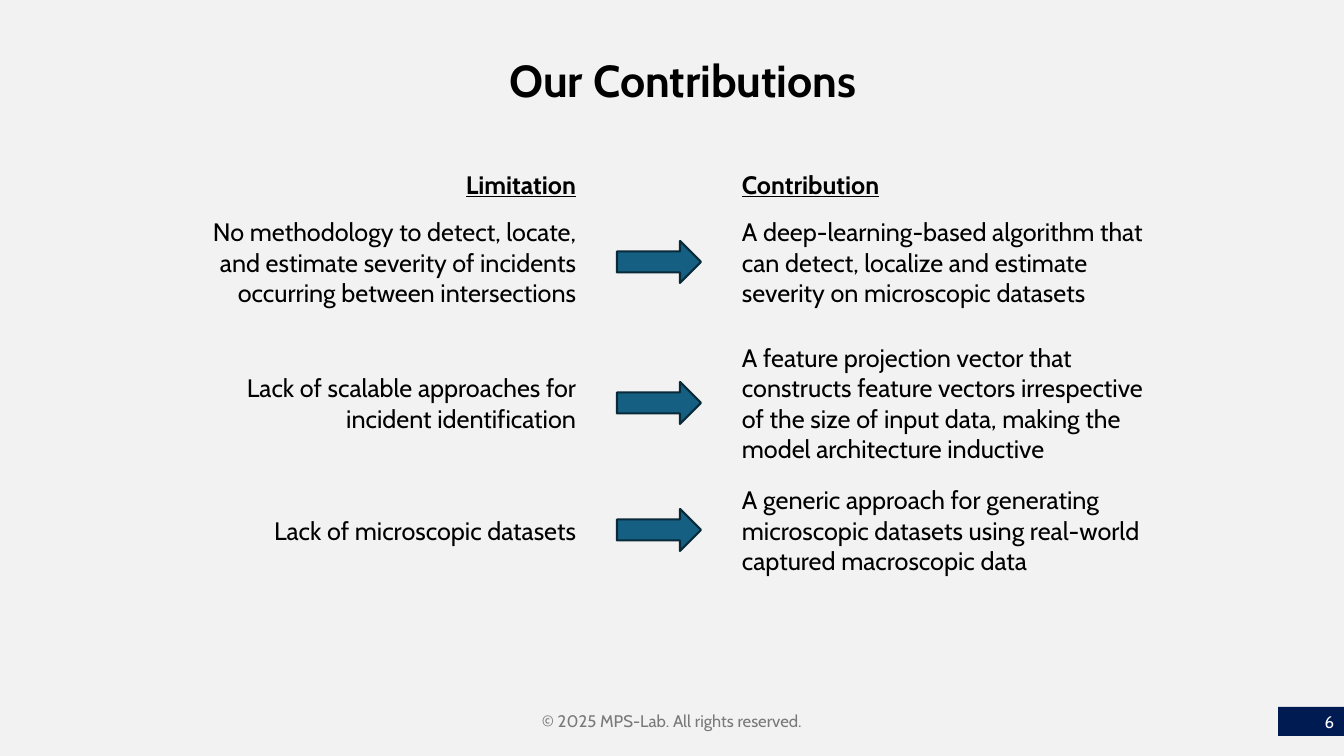
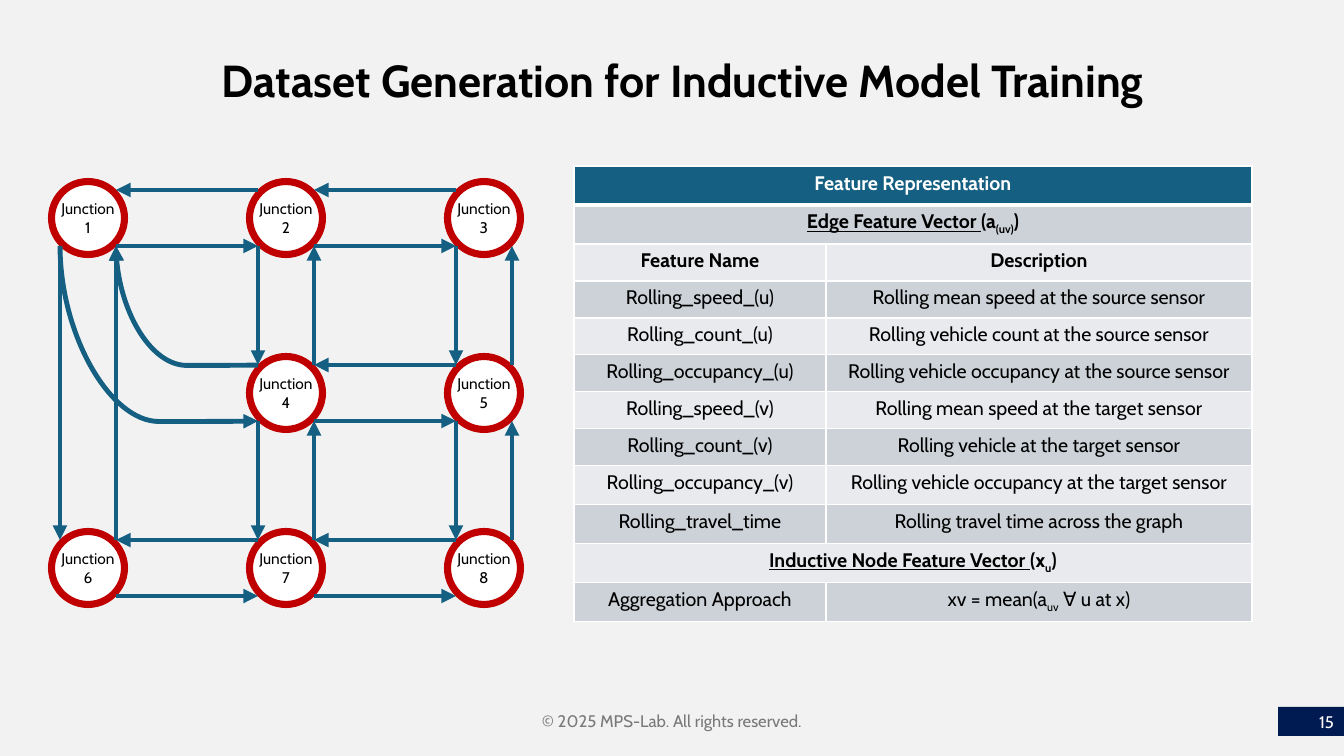
from lxml import etree
from pptx import Presentation
from pptx.dml.color import RGBColor
from pptx.enum.shapes import MSO_CONNECTOR, MSO_SHAPE
from pptx.enum.text import MSO_ANCHOR, MSO_AUTO_SIZE, PP_ALIGN
from pptx.oxml.ns import qn
from pptx.util import Emu, Pt

LEFT, CENTER, RIGHT = PP_ALIGN.LEFT, PP_ALIGN.CENTER, PP_ALIGN.RIGHT
TOP, MIDDLE = MSO_ANCHOR.TOP, MSO_ANCHOR.MIDDLE
STRAIGHT, CURVE = MSO_CONNECTOR.STRAIGHT, MSO_CONNECTOR.CURVE
RECTANGLE, ELLIPSE, ARROW = MSO_SHAPE.RECTANGLE, MSO_SHAPE.OVAL, MSO_SHAPE.RIGHT_ARROW

BLACK = RGBColor(0x00, 0x00, 0x00)
WHITE = RGBColor(0xFF, 0xFF, 0xFF)
PAPER = RGBColor(0xF2, 0xF2, 0xF2)
GREY = RGBColor(0x79, 0x79, 0x79)
NAVY = RGBColor(0x00, 0x1A, 0x52)
TEAL = RGBColor(0x15, 0x60, 0x82)
DARK_TEAL = RGBColor(0x09, 0x2A, 0x39)
RED = RGBColor(0xC0, 0x00, 0x00)
BAND_DARK = RGBColor(0xCC, 0xD2, 0xD8)
BAND_LIGHT = RGBColor(0xE8, 0xEA, 0xED)

WIDTH, HEIGHT = 1344, 756
SCALE = 12192000 / WIDTH


def px(*lengths):
    return [Emu(round(length * SCALE)) for length in lengths]


def write(frame, lines, align=LEFT, anchor=MIDDLE, color=BLACK, **formats):
    """Fill a frame; a line is a string or a list of (text, formats) spans."""
    frame.word_wrap = True
    frame.vertical_anchor = anchor
    for index, line in enumerate(lines):
        para = frame.add_paragraph() if index else frame.paragraphs[0]
        para.alignment = align
        for text, extra in [(line, {})] if isinstance(line, str) else line:
            span = para.add_run()
            span.text = text
            span.font.color.rgb = color
            values = {"name": "Cabin", **formats, **extra}
            if values.pop("subscript", False):
                span._r.get_or_add_rPr().set("baseline", "-25000")
            for name, value in values.items():
                setattr(span.font, name, value)


deck = Presentation()
deck.slide_width, deck.slide_height = px(WIDTH, HEIGHT)
background = deck.slide_master.background.fill
background.solid()
background.fore_color.rgb = PAPER

# Shared title, footer and page number
pages = []
for heading, number in [("Our Contributions", "6"),
                        ("Dataset Generation for Inductive Model Training", "15")]:
    page = deck.slides.add_slide(deck.slide_layouts[5])
    pages.append(page)
    title = page.shapes.title
    title.left, title.top, title.width, title.height = px(125, 48, 1116, 65)
    write(title.text_frame, [heading], CENTER, TOP, size=Pt(32), bold=True)
    title.text_frame.auto_size = MSO_AUTO_SIZE.NONE

    footer = page.shapes.add_textbox(*px(445, 701, 454, 40))
    write(footer.text_frame, ["© 2025 MPS-Lab. All rights reserved."], CENTER,
          color=GREY, size=Pt(12))

    badge = page.shapes.add_shape(RECTANGLE, *px(1278, 707, 66, 29))
    badge.shadow.inherit = False
    badge.fill.solid()
    badge.fill.fore_color.rgb = NAVY
    badge.line.fill.background()
    write(badge.text_frame, [number], RIGHT, color=WHITE, size=Pt(12))

contributions, dataset = pages

# Limitations on the left, contributions on the right
SIDES = [(161, 425, RIGHT), (732, 440, LEFT)]
for (left, width, align), label in zip(SIDES, ["Limitation", "Contribution"]):
    box = contributions.shapes.add_textbox(*px(left, 164, width, 40))
    write(box.text_frame, [label], align, TOP, size=Pt(18), bold=True, underline=True)

CONTRIBUTION_ROWS = [
    (262, 102,
     "No methodology to detect, locate, and estimate severity of incidents "
     "occurring between intersections",
     "A deep-learning-based algorithm that can detect, localize and estimate "
     "severity on microscopic datasets"),
    (403, 132,
     "Lack of scalable approaches for incident identification",
     "A feature projection vector that constructs feature vectors irrespective "
     "of the size of input data, making the model architecture inductive"),
    (530, 102,
     "Lack of microscopic datasets",
     "A generic approach for generating microscopic datasets using real-world "
     "captured macroscopic data"),
]
for middle, height, *texts in CONTRIBUTION_ROWS:
    for (left, width, align), text in zip(SIDES, texts):
        box = contributions.shapes.add_textbox(*px(left, middle - height / 2, width, height))
        write(box.text_frame, [text], align, size=Pt(18))
    arrow = contributions.shapes.add_shape(ARROW, *px(617, middle - 21, 84, 42))
    arrow.shadow.inherit = False
    arrow.fill.solid()
    arrow.fill.fore_color.rgb = TEAL
    arrow.line.color.rgb = DARK_TEAL
    arrow.line.width = Pt(1.5)

# Road network: junctions on a grid, the middle left place stays empty
COLUMNS = [88, 286, 484]
ROWS = [218, 393, 568]
OFFSET = 28  # from a junction's centre to its lanes
network = dataset.shapes.add_group_shape().shapes
places = [(x, y) for y in ROWS for x in COLUMNS if (x, y) != (COLUMNS[0], ROWS[1])]
for number, (x, y) in enumerate(places, start=1):
    for diameter, color in [(78, RED), (68, WHITE)]:
        disc = network.add_shape(
            ELLIPSE, *px(x - diameter / 2, y - diameter / 2, diameter, diameter))
        disc.shadow.inherit = False
        disc.fill.solid()
        disc.fill.fore_color.rgb = color
        disc.line.color.rgb = RED
        disc.line.width = Pt(1.5)
    frame = disc.text_frame
    frame.margin_left = frame.margin_right = frame.margin_top = frame.margin_bottom = 0
    write(frame, ["Junction", str(number)], CENTER, size=Pt(11))
    frame.word_wrap = False

# Two opposite lanes between neighbours; a lane is (kind, start, end, bend)
lanes = []
for y in ROWS:
    stops = [place[0] for place in places if place[1] == y]
    for first, second in zip(stops, stops[1:]):
        near, far = first + OFFSET, second - OFFSET
        lanes += [(STRAIGHT, (near, y + OFFSET), (far, y + OFFSET), None),
                  (STRAIGHT, (far, y - OFFSET), (near, y - OFFSET), None)]
for x in COLUMNS:
    stops = [place[1] for place in places if place[0] == x]
    for first, second in zip(stops, stops[1:]):
        near, far = first + OFFSET, second - OFFSET
        lanes += [(STRAIGHT, (x - OFFSET, near), (x - OFFSET, far), None),
                  (STRAIGHT, (x + OFFSET, far), (x + OFFSET, near), None)]
(x1, y1), (x4, y4) = places[0], places[3]
lanes += [
    (CURVE, (x4 - OFFSET, y4 - OFFSET), (x1 + OFFSET, y1 + OFFSET), -400),
    (CURVE, (x1 - OFFSET, y1 + OFFSET), (x4 - OFFSET, y4 + OFFSET), 100300),
]
for kind, start, end, bend in lanes:
    if kind == CURVE:
        # Turn the ends back a quarter, as the frame is rotated by 270 degrees
        center_x, center_y = (start[0] + end[0]) / 2, (start[1] + end[1]) / 2
        start, end = [(center_x - (y - center_y), center_y + (x - center_x))
                      for x, y in (start, end)]
    lane = network.add_connector(kind, *px(*start, *end))
    lane.line.color.rgb = TEAL
    lane.line.width = Pt(3.5)
    properties = lane._element.spPr
    etree.SubElement(properties.find(qn("a:ln")), qn("a:tailEnd"), type="triangle")
    etree.SubElement(properties, qn("a:effectLst"))
    if kind == CURVE:
        properties.find(qn("a:xfrm")).set("rot", "16200000")
        guides = properties.find(qn("a:prstGeom")).get_or_add_avLst()
        etree.SubElement(guides, qn("a:gd"), name="adj1", fmla=f"val {bend}")

# Feature table: a row with one entry spans both columns
UNDERLINED, SUBSCRIPT = {"underline": True}, {"subscript": True}
FEATURE_ROWS = [
    ["Feature Representation"],
    [[("Edge Feature Vector ", UNDERLINED), ("(a", {}), ("(uv)", SUBSCRIPT), (")", {})]],
    ["Feature Name", "Description"],
    ["Rolling_speed_(u)", "Rolling mean speed at the source sensor"],
    ["Rolling_count_(u)", "Rolling vehicle count at the source sensor"],
    ["Rolling_occupancy_(u)", "Rolling vehicle occupancy at the source sensor"],
    ["Rolling_speed_(v)", "Rolling mean speed at the target sensor"],
    ["Rolling_count_(v)", "Rolling vehicle at the target sensor"],
    ["Rolling_occupancy_(v)", "Rolling vehicle occupancy at the target sensor"],
    ["Rolling_travel_time", "Rolling travel time across the graph"],
    [[("Inductive Node Feature Vector ", UNDERLINED), ("(x", {}), ("u", SUBSCRIPT), (")", {})]],
    ["Aggregation Approach", [("xv = mean(a", {}), ("uv", SUBSCRIPT), (" ∀ u at x)", {})]],
]
ROW_HEIGHTS = [39] * 2 + [37] * 6 + [39] * 4
table = dataset.shapes.add_table(
    len(FEATURE_ROWS), 2, *px(574, 166, 678, sum(ROW_HEIGHTS))).table
for column, width in zip(table.columns, px(252, 426)):
    column.width = width
for index, (entries, height) in enumerate(zip(FEATURE_ROWS, px(*ROW_HEIGHTS))):
    table.rows[index].height = height
    cells = [table.cell(index, 0), table.cell(index, 1)]
    if len(entries) == 1:
        cells[0].merge(cells[1])
    for cell in cells:
        for side in "LRTB":
            thick = (index, side) in [(0, "B"), (1, "T")]
            border = etree.SubElement(cell._tc.get_or_add_tcPr(), qn(f"a:ln{side}"),
                                      w=str(Pt(3 if thick else 1)))
            paint = etree.SubElement(border, qn("a:solidFill"))
            etree.SubElement(paint, qn("a:srgbClr"), val=str(WHITE))
        cell.fill.solid()
        cell.fill.fore_color.rgb = (BAND_DARK if index % 2 else BAND_LIGHT) if index else TEAL
    for cell, entry in zip(cells, entries):
        write(cell.text_frame, [entry], CENTER, TOP, BLACK if index else WHITE,
              size=Pt(14), bold=len(entries) == 1 or index == 2)

deck.save("out.pptx")
